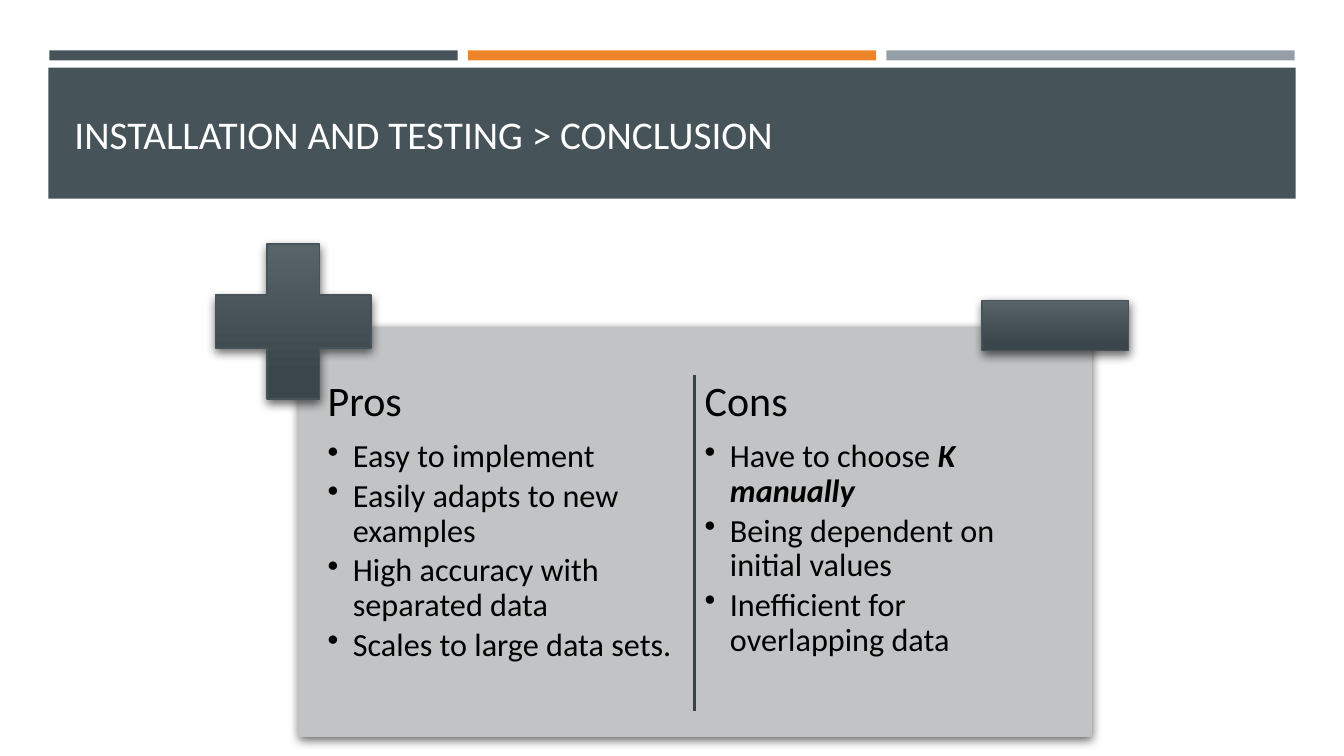
"""Build the pros and cons conclusion slide."""
from dataclasses import dataclass

from lxml import etree
from pptx import Presentation
from pptx.dml.color import RGBColor
from pptx.enum.shapes import MSO_CONNECTOR, MSO_SHAPE
from pptx.enum.text import MSO_ANCHOR, PP_ALIGN
from pptx.oxml import parse_xml
from pptx.oxml.ns import nsdecls, qn
from pptx.util import Inches, Pt

RECTANGLE = MSO_SHAPE.RECTANGLE
PLUS = MSO_SHAPE.CROSS
STRAIGHT = MSO_CONNECTOR.STRAIGHT
MIDDLE = MSO_ANCHOR.MIDDLE
TOP = MSO_ANCHOR.TOP
LEFT = PP_ALIGN.LEFT


@dataclass(frozen=True)
class Theme:
    font: str = "Calibri"
    slate: RGBColor = RGBColor.from_string("465359")
    orange: RGBColor = RGBColor.from_string("ED8428")
    gray: RGBColor = RGBColor.from_string("969FA7")
    panel: RGBColor = RGBColor.from_string("C1C3C4")
    sign_light: RGBColor = RGBColor.from_string("58646A")
    sign_dark: RGBColor = RGBColor.from_string("3B464B")
    divider: RGBColor = RGBColor.from_string("384247")
    white: RGBColor = RGBColor.from_string("FFFFFF")
    black: RGBColor = RGBColor.from_string("000000")
    title_size: int = 28
    heading_size: int = 30
    item_size: int = 23


theme = Theme()

presentation = Presentation()
presentation.slide_width = Inches(13.33)
presentation.slide_height = Inches(7.5)
slide = presentation.slides.add_slide(presentation.slide_layouts[6])


def add_block(kind, left, top, width, height, color=None, shadow=False):
    """Add a preset shape with a flat fill, or a gradient when no color is given."""
    shape = slide.shapes.add_shape(
        kind, Inches(left), Inches(top), Inches(width), Inches(height)
    )
    shape.shadow.inherit = False
    if color is not None:
        shape.fill.solid()
        shape.fill.fore_color.rgb = color
        shape.line.fill.background()
    else:
        shape.fill.gradient()
        shape.fill.gradient_angle = 270
        light_stop, dark_stop = shape.fill.gradient_stops
        light_stop.position, dark_stop.position = 0, 0.84
        light_stop.color.rgb = theme.sign_light
        dark_stop.color.rgb = theme.sign_dark
        shape.line.color.rgb = theme.slate
        shape.line.width = Pt(1)
    if shadow:
        effects = shape._element.spPr.find(qn("a:effectLst"))
        effects.append(parse_xml(
            f'<a:outerShdw {nsdecls("a")} blurRad="{Pt(7)}" dist="{Pt(3)}" '
            'dir="5040000" rotWithShape="0"><a:srgbClr val="000000">'
            '<a:alpha val="60000"/></a:srgbClr></a:outerShdw>'
        ))
    return shape


def add_run(paragraph, text, size, color, emphasis=False):
    """Add one styled run to a paragraph."""
    run = paragraph.add_run()
    run.text = text
    run.font.name = theme.font
    run.font.size = Pt(size)
    run.font.color.rgb = color
    run.font.bold = emphasis
    run.font.italic = emphasis


for index, color in enumerate((theme.slate, theme.orange, theme.gray)):
    add_block(RECTANGLE, 0.49 + index * 4.15, 0.5, 4.05, 0.1, color)

add_block(RECTANGLE, 0.48, 0.67, 12.37, 1.3, theme.slate)
title = slide.shapes.add_textbox(Inches(0.64), Inches(0.77), Inches(12.06), Inches(1.11))
title.text_frame.word_wrap = True
title.text_frame.vertical_anchor = MIDDLE
add_run(title.text_frame.paragraphs[0], "INSTALLATION AND TESTING > CONCLUSION",
        theme.title_size, theme.white)

add_block(RECTANGLE, 2.96, 3.24, 7.87, 4.07, theme.panel, shadow=True)

columns = [
    (3.19, "Pros", [
        [("Easy to implement", False)],
        [("Easily adapts to new examples", False)],
        [("High accuracy with separated data", False)],
        [("Scales to large data sets.", False)],
    ]),
    (6.93, "Cons", [
        [("Have to choose ", False), ("K manually", True)],
        [("Being dependent on initial values", False)],
        [("Inefficient for overlapping data", False)],
    ]),
]
for left, heading, items in columns:
    column = slide.shapes.add_textbox(Inches(left), Inches(3.71), Inches(3.66), Inches(3.48))
    frame = column.text_frame
    frame.word_wrap = True
    frame.vertical_anchor = TOP
    frame.margin_left = frame.margin_right = Inches(0.06)
    frame.margin_top = frame.margin_bottom = Inches(0.06)
    paragraph = frame.paragraphs[0]
    paragraph.alignment = LEFT
    paragraph.line_spacing = 0.9
    paragraph.space_after = Pt(theme.heading_size * 0.35)
    add_run(paragraph, heading, theme.heading_size, theme.black)
    for item in items:
        paragraph = frame.add_paragraph()
        paragraph.level = 1
        paragraph.alignment = LEFT
        paragraph.line_spacing = 0.9
        paragraph.space_after = Pt(theme.item_size * 0.15)
        properties = paragraph._p.get_or_add_pPr()
        properties.set("marL", str(Inches(0.25)))
        properties.set("indent", str(Inches(-0.25)))
        etree.SubElement(properties, qn("a:buChar")).set("char", "•")
        for text, emphasis in item:
            add_run(paragraph, text, theme.item_size, theme.black, emphasis)

plus_sign = add_block(PLUS, 2.14, 2.42, 1.54, 1.54, shadow=True)
plus_sign.adjustments[0] = 0.33
add_block(RECTANGLE, 9.74, 2.98, 1.45, 0.5, shadow=True)

divider = slide.shapes.add_connector(
    STRAIGHT, Inches(6.89), Inches(3.72), Inches(6.89), Inches(7.05)
)
divider.line.color.rgb = theme.divider
divider.line.width = Pt(1.75)
etree.SubElement(divider._element.spPr, qn("a:effectLst"))

presentation.save("out.pptx")
